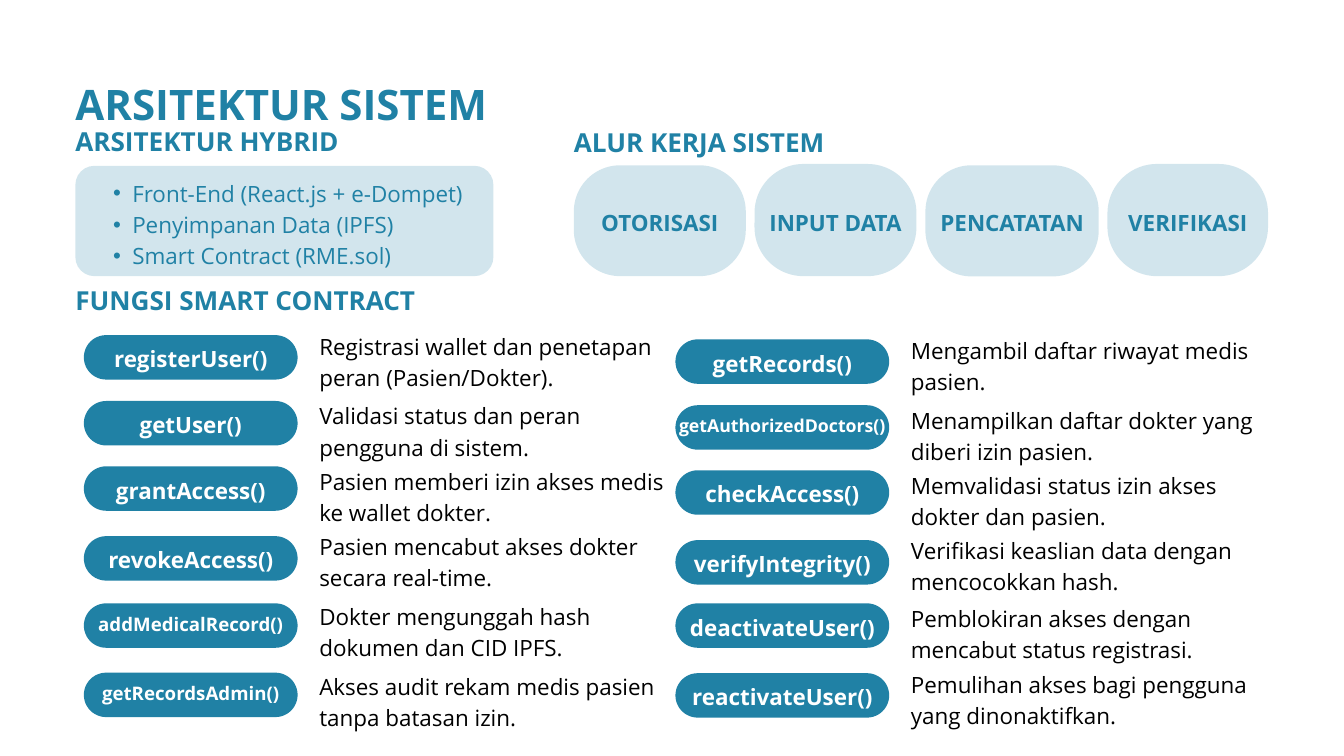
import lxml.etree
import pptx
import pptx.dml.color
import pptx.enum.shapes
import pptx.enum.text
import pptx.oxml.ns
import pptx.util

Cm = pptx.util.Cm
Pt = pptx.util.Pt
qn = pptx.oxml.ns.qn
ALIGN = pptx.enum.text.PP_ALIGN

COLORS = {"teal": "2081A5", "black": "000000", "white": "FFFFFF"}
FONT = "Open Sans"


def write_text(paragraph, text, size=24, color="black", bold=False,
               align=ALIGN.LEFT, spacing=None, bullet=False):
    """Fill a paragraph; line spacing defaults to 1.4 times the size."""
    if bullet:
        paragraph.level = 1
        properties = paragraph._p.get_or_add_pPr()
        properties.set("marL", str(Cm(1.44)))
        properties.set("indent", str(Cm(-0.72)))
        lxml.etree.SubElement(properties, qn("a:buFont")).set("typeface", "Arial")
        lxml.etree.SubElement(properties, qn("a:buChar")).set("char", "•")
    paragraph.alignment = align
    paragraph.line_spacing = Pt(spacing or round(size * 1.4, 1))
    run = paragraph.add_run()
    run.text = text
    run.font.name = FONT
    run.font.size = Pt(size)
    run.font.bold = bold
    run.font.color.rgb = pptx.dml.color.RGBColor.from_string(COLORS[color])


class SlideBuilder:
    def __init__(self, slide):
        self.slide = slide

    def text(self, left, top, width, height, lines, **style):
        box = self.slide.shapes.add_textbox(Cm(left), Cm(top), Cm(width), Cm(height))
        frame = box.text_frame
        frame.word_wrap = True
        frame.auto_size = pptx.enum.text.MSO_AUTO_SIZE.SHAPE_TO_FIT_TEXT
        frame.margin_left = frame.margin_right = 0
        frame.margin_top = frame.margin_bottom = 0
        for index, line in enumerate(lines):
            paragraph = frame.add_paragraph() if index else frame.paragraphs[0]
            write_text(paragraph, line, **style)

    def heading(self, left, top, width, text, **style):
        style = {"size": 28, "color": "teal", "bold": True, **style}
        self.text(left, top, width, 1.35, [text], **style)

    def panel(self, left, top, width, height, radius, opacity=100):
        shape = self.slide.shapes.add_shape(
            pptx.enum.shapes.MSO_SHAPE.ROUNDED_RECTANGLE,
            Cm(left), Cm(top), Cm(width), Cm(height))
        shape.adjustments[0] = radius / min(width, height)
        shape.shadow.inherit = False
        shape.line.fill.background()
        shape.fill.solid()
        shape.fill.fore_color.rgb = pptx.dml.color.RGBColor.from_string(COLORS["teal"])
        if opacity < 100:
            color = shape._element.spPr.find(qn("a:solidFill"))[0]
            lxml.etree.SubElement(color, qn("a:alpha")).set("val", str(opacity * 1000))

    def step(self, left, top, width, height, radius, name):
        self.panel(left, top, width, height, radius, opacity=20)
        self.text(left + 0.43, 7.73, width - 0.86, 1.09, [name],
                  color="teal", bold=True, align=ALIGN.CENTER)

    def function(self, left, pill_top, text_top, name, size, description):
        self.panel(left, pill_top, 8.08, 1.68, 0.84)
        self.text(left + 0.1, pill_top + 0.22, 7.88, 1.09, [name], size=size,
                  color="white", bold=True, align=ALIGN.CENTER)
        self.text(left + 8.9, text_top, 13.18, 2.26, [description])


# Left, top, width, height, corner radius, name
STEPS = [
    (21.69, 6.25, 6.5, 4.19, 1.75, "OTORISASI"),
    (28.52, 6.2, 6.12, 4.24, 1.85, "INPUT DATA"),
    (34.98, 6.25, 6.55, 4.2, 1.74, "PENCATATAN"),
    (41.86, 6.2, 6.07, 4.24, 1.87, "VERIFIKASI"),
]

# Column left: pill top, text top, name, name size, description
FUNCTIONS = {
    3.17: [
        (12.67, 12.42, "registerUser()", 24,
         "Registrasi wallet dan penetapan peran (Pasien/Dokter)."),
        (15.16, 15.04, "getUser()", 24,
         "Validasi status dan peran pengguna di sistem."),
        (17.63, 17.53, "grantAccess()", 24,
         "Pasien memberi izin akses medis ke wallet dokter."),
        (20.27, 19.99, "revokeAccess()", 24,
         "Pasien mencabut akses dokter secara real-time."),
        (22.81, 22.63, "addMedicalRecord()", 20,
         "Dokter mengunggah hash dokumen dan CID IPFS."),
        (25.43, 25.27, "getRecordsAdmin()", 20,
         "Akses audit rekam medis pasien tanpa batasan izin."),
    ],
    25.53: [
        (12.83, 12.57, "getRecords()", 24,
         "Mengambil daftar riwayat medis pasien."),
        (15.32, 15.21, "getAuthorizedDoctors()", 19,
         "Menampilkan daftar dokter yang diberi izin pasien."),
        (17.78, 17.68, "checkAccess()", 24,
         "Memvalidasi status izin akses dokter dan pasien."),
        (20.42, 20.14, "verifyIntegrity()", 24,
         "Verifikasi keaslian data dengan mencocokkan hash."),
        (22.81, 22.71, "deactivateUser()", 24,
         "Pemblokiran akses dengan mencabut status registrasi."),
        (25.45, 25.2, "reactivateUser()", 24,
         "Pemulihan akses bagi pengguna yang dinonaktifkan."),
    ],
}


def main():
    presentation = pptx.Presentation()
    presentation.slide_width = Cm(50.8)
    presentation.slide_height = Cm(28.58)
    builder = SlideBuilder(presentation.slides.add_slide(presentation.slide_layouts[6]))

    # Title and hybrid architecture
    builder.heading(2.85, 2.64, 18.64, "ARSITEKTUR SISTEM", size=45)
    builder.heading(2.85, 4.8, 16.76, "ARSITEKTUR HYBRID", spacing=31.6)
    builder.panel(2.85, 6.27, 15.8, 4.17, 0.72, opacity=20)
    builder.text(3.56, 6.63, 14.55, 3.43,
                 ["Front-End (React.js + e-Dompet)",
                  "Penyimpanan Data (IPFS)",
                  "Smart Contract (RME.sol)"],
                 color="teal", align=ALIGN.JUSTIFY, bullet=True)

    # Workflow
    builder.heading(21.69, 4.57, 18.8, "ALUR KERJA SISTEM", align=ALIGN.JUSTIFY)
    for step in STEPS:
        builder.step(*step)

    # Smart contract functions
    builder.heading(2.85, 10.54, 23.04, "FUNGSI SMART CONTRACT", align=ALIGN.JUSTIFY)
    for left, functions in FUNCTIONS.items():
        for function in functions:
            builder.function(left, *function)

    presentation.save("out.pptx")


if __name__ == "__main__":
    main()
